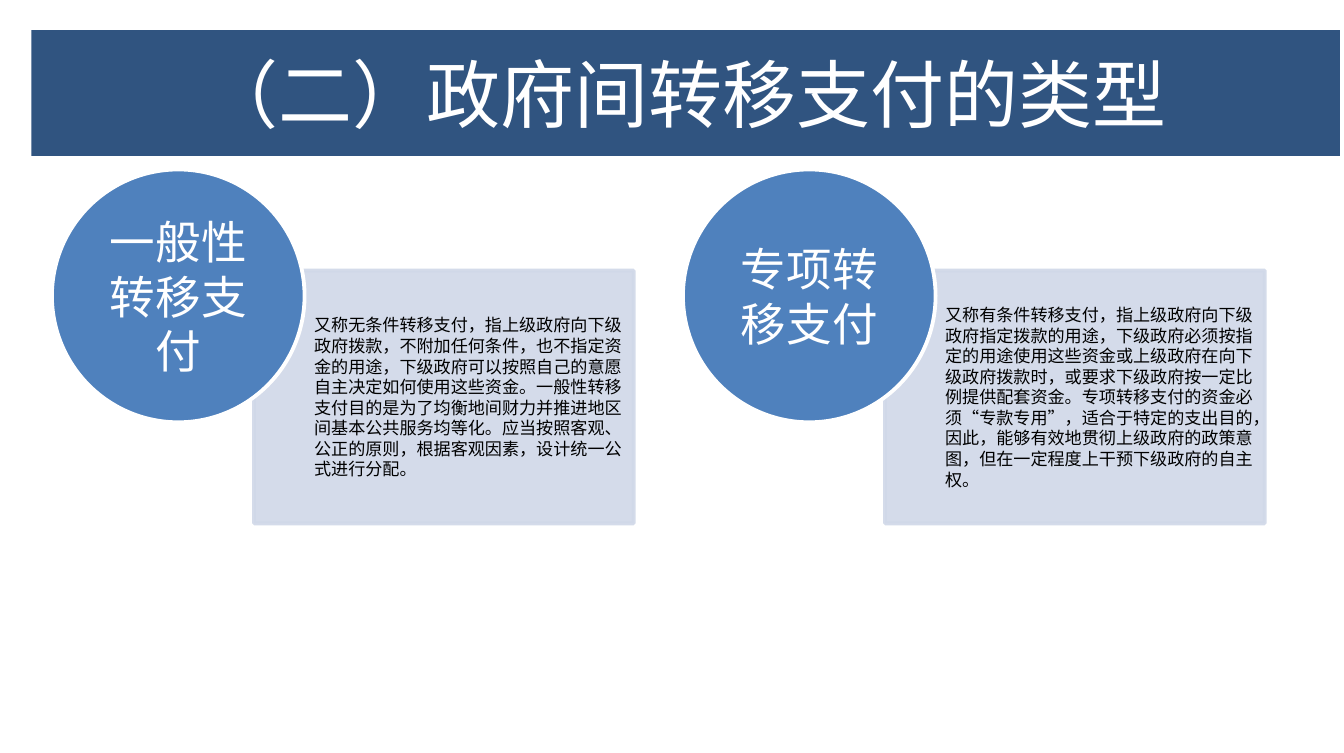
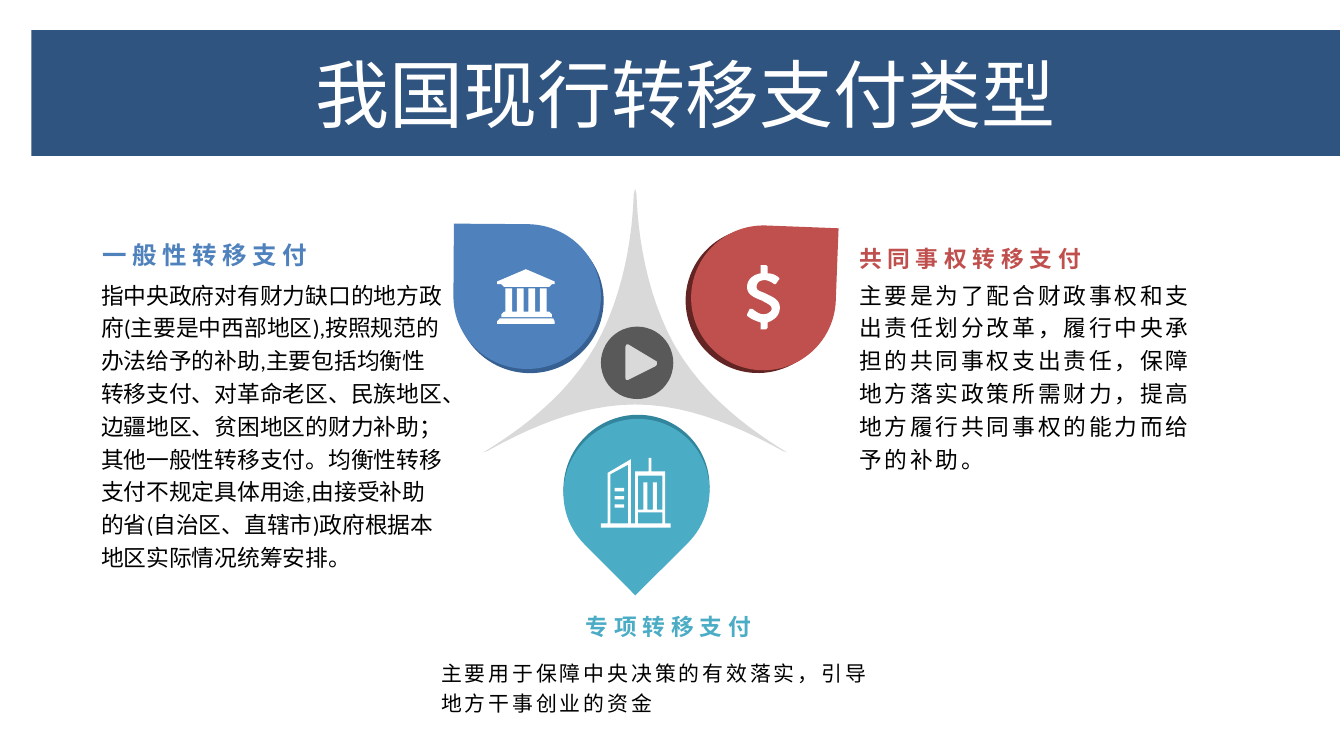
from lxml.etree import SubElement
from pptx import Presentation
from pptx.dml.color import RGBColor
from pptx.enum.lang import MSO_LANGUAGE_ID as Lang
from pptx.enum.shapes import MSO_SHAPE as Shape
from pptx.enum.text import MSO_ANCHOR as Anchor, PP_ALIGN as Align
from pptx.oxml.ns import qn
from pptx.util import Inches, Pt

# Shared grid: square cells of a tenth of an inch
COLS, ROWS = 98.4, 55.1
NAVY, BLUE, PALE, RED, TEAL = "305480", "4F81BD", "D0D8E8", "C0504D", "4BACC6"
GREY, CHARCOAL, WHITE, BLACK = "D9D9D9", "595959", "FFFFFF", "000000"
LATIN, HAN = "Calibri", "Noto Sans CJK SC"
TITLE = dict(size=39, color=WHITE, align=Align.CENTER, margins=(.9, .4, .9, .4))
HEADING = dict(name=HAN, size=12, bold=True, spacing=3, leading=1.2,
               anchor=Anchor.BOTTOM, margins=(.7, .4, .7, 0))
NOTE = dict(name=HAN, size=12, spacing=1.5, leading=1.2,
            anchor=Anchor.TOP, margins=(.7, 0, .7, .4))


def cells(n):
    return Inches(n / 10)


def rgb(value):
    return RGBColor.from_string(value)


def paint(target, color, alpha=None):
    """Give a fill a solid colour, with an opacity in percent if wanted."""
    target.solid()
    target.fore_color.rgb = rgb(color)
    if alpha:
        for node in target._xPr.iter(qn("a:srgbClr")):
            SubElement(node, qn("a:alpha")).set("val", str(alpha * 1000))


def add_shape(slide, kind, box, fill, line=None, alpha=None, rotation=0):
    shape = slide.shapes.add_shape(kind, *map(cells, box))
    shape.shadow.inherit = False
    shape.rotation = rotation
    paint(shape.fill, fill, alpha)
    if line:
        paint(shape.line.fill, line, alpha)
        shape.line.width = Pt(2)
    else:
        shape.line.fill.background()
    return shape


def write(shape, text, color=BLACK, name=LATIN, size=9, bold=False, spacing=0,
          leading=1, align=Align.LEFT, anchor=Anchor.MIDDLE, margins=(0, 0, 0, 0)):
    frame = shape.text_frame
    frame.word_wrap, frame.vertical_anchor = True, anchor
    for side, margin in zip(("left", "top", "right", "bottom"), margins):
        setattr(frame, f"margin_{side}", cells(margin))
    paragraph = frame.paragraphs[0]
    paragraph.alignment, paragraph.line_spacing = align, leading
    run = paragraph.add_run()
    run.text = text
    font_format = dict(name=name, size=Pt(size), bold=bold,
                       language_id=Lang.SIMPLIFIED_CHINESE)
    for key, value in font_format.items():
        setattr(run.font, key, value)
    run.font.color.rgb = rgb(color)
    properties = run._r.get_or_add_rPr()
    SubElement(properties, qn("a:ea")).set("typeface", HAN)
    if spacing:
        properties.set("spc", str(int(spacing * 100)))


def add_text(slide, box, text, **style):
    write(slide.shapes.add_textbox(*map(cells, box)), text, **style)


def add_title(slide, text):
    write(add_shape(slide, Shape.RECTANGLE, (2.3, 2.2, 95.8, 9.2), NAVY), text, **TITLE)


# Outlines, in hundredths of an inch: a pair is a corner, six numbers a Bézier curve
def flatten(contour, steps=12):
    points = []
    for item in contour:
        if len(item) == 2:
            points.append(item)
            continue
        knots = [points[-1], item[:2], item[2:4], item[4:]]
        for i in range(1, steps + 1):
            t = i / steps
            weights = ((1 - t) ** 3, 3 * t * (1 - t) ** 2, 3 * t * t * (1 - t), t ** 3)
            points.append(tuple(sum(w * k[axis] for w, k in zip(weights, knots))
                                for axis in (0, 1)))
    return points


def rect(left, top, right, bottom):
    return [(left, top), (right, top), (right, bottom), (left, bottom)]


def add_outline(slide, left, top, contours, fill):
    builder = None
    for contour in contours:
        points = [(cells(left + x / 10), cells(top + y / 10)) for x, y in flatten(contour)]
        if builder is None:
            builder = slide.shapes.build_freeform(*points[0], scale=1.0)
        else:
            builder.move_to(*points[0])
        builder.add_line_segments(points[1:], close=True)
    shape = builder.convert_to_shape()
    shape.shadow.inherit = False
    paint(shape.fill, fill)
    shape.line.fill.background()


STAR_HALF = flatten([(0, 0), (1, 4), (2, 34, 8, 77, 29, 115), (51, 153, 85, 177, 111, 193),
                     (108, 192), (83, 178, 42, 158, 0, 158)])
STAR = [STAR_HALF + [(-x, y) for x, y in reversed(STAR_HALF)]]
PLAY = [[(41, 27), (41, 26, 41, 25, 40, 25), (20, 13), (19, 13), (18, 14, 18, 15, 18, 15),
         (18, 37), (18, 38, 18, 39, 19, 39), (20, 39), (40, 29), (41, 28, 41, 28, 41, 27)]]
BANK = [
    [(21, 0), (42, 9), (42, 11), (40, 11), (38, 13), (5, 13), (3, 11), (0, 11), (0, 9)],
    [(3, 35), (3, 33), (5, 31), (38, 31), (40, 33), (40, 35)],
    [(0, 40), (0, 38), (2, 36), (41, 36), (42, 38), (42, 40)],
    *[rect(6 + 8.4 * i, 14, 11 + 8.4 * i, 31) for i in range(4)],
]
DOLLAR = [[
    (15, 42), (15, 46), (14, 47), (10, 47), (10, 42), (3, 40, 0, 37, 0, 37), (0, 36),
    (2, 32), (4, 32), (4, 32, 8, 36, 12, 36), (15, 36, 18, 34, 18, 32),
    (18, 29, 14, 28, 11, 26), (6, 24, 0, 22, 0, 16), (0, 11, 4, 7, 10, 6), (10, 0),
    (14, 0), (15, 1), (15, 6), (20, 6, 23, 9, 23, 9), (24, 10, 24, 10, 23, 11), (21, 14),
    (20, 14), (20, 14, 16, 11, 13, 11), (9, 11, 7, 13, 7, 16), (7, 19, 10, 19, 14, 21),
    (18, 23, 24, 25, 24, 31), (24, 37, 20, 40, 15, 42)]]
CITY = [
    [(51, 51), (0, 51), (0, 48), (5, 48), (5, 11), (22, 1), (22, 48), (25, 48), (25, 10),
     (35, 10), (35, 0), (37, 0), (37, 10), (47, 10), (47, 48), (51, 48)],
    [(20, 5), (7, 12), (7, 48), (20, 48)],
    [(45, 13), (27, 13), (27, 38), (31, 38), (31, 18), (34, 18), (34, 38), (38, 38),
     (38, 18), (41, 18), (41, 38), (45, 38)],
    rect(27, 40, 45, 48),
    *[rect(10, 22 + 6 * i, 17, 24.5 + 6 * i) for i in range(3)],
]

TYPES = [
    ("一般性转移支付",
     "又称无条件转移支付，指上级政府向下级政府拨款，不附加任何条件，也不指定资金的用途，"
     "下级政府可以按照自己的意愿自主决定如何使用这些资金。一般性转移支付目的是为了均衡地间财力"
     "并推进地区间基本公共服务均等化。应当按照客观、公正的原则，根据客观因素，设计统一公式进行分配。"),
    ("专项转移支付",
     "又称有条件转移支付，指上级政府向下级政府指定拨款的用途，下级政府必须按指定的用途使用这些资金"
     "或上级政府在向下级政府拨款时，或要求下级政府按一定比例提供配套资金。专项转移支付的资金必须"
     "“专款专用”，适合于特定的支出目的，因此，能够有效地贯彻上级政府的政策意图，"
     "但在一定程度上干预下级政府的自主权。"),
]
# Pin box, rotation, shade shift, colours, icon and its place in the pin
PINS = [
    ((33.3, 16.3, 10.6, 10.8), 270.4, (.2, .3), BLUE, "376092", BANK, (3.1, 3.4)),
    ((50.6, 16.5, 10.6, 10.6), 2.2, (-.4, .2), RED, "632523", DOLLAR, (4.1, 2.9)),
    ((41.2, 30.7, 10.8, 10.6), 135.1, (0, -.3), TEAL, "31859C", CITY, (2.8, 2.8)),
]
# Heading box, heading, its style, note box, note, its style
NOTES = [
    ((6.8, 16.5, 24.2, 3.2), "一般性转移支付", dict(color=BLUE, size=12.9),
     (6.7, 20.2, 26.6, 25),
     "指中央政府对有财力缺口的地方政府(主要是中西部地区),按照规范的办法给予的补助,"
     "主要包括均衡性转移支付、对革命老区、民族地区、边疆地区、贫困地区的财力补助；其他一般性转移支付。"
     "均衡性转移支付不规定具体用途,由接受补助的省(自治区、直辖市)政府根据本地区实际情况统筹安排。",
     dict(name=LATIN, spacing=0)),
    ((62.2, 16.7, 26.5, 3.2), "共同事权转移支付", dict(color=RED),
     (62.2, 20.2, 26.5, 14.4),
     "主要是为了配合财政事权和支出责任划分改革，履行中央承担的共同事权支出责任，"
     "保障地方落实政策所需财力，提高地方履行共同事权的能力而给予的补助。", {}),
    ((33.1, 43.6, 31.7, 3.2), "专项转移支付", dict(color=TEAL, align=Align.CENTER),
     (31.6, 48, 33.2, 5.1),
     "主要用于保障中央决策的有效落实，引导地方干事创业的资金", dict(size=11)),
]


def add_type_card(slide, left, top, label, text):
    """A disc with the label over the corner of a panel with the text."""
    add_shape(slide, Shape.RECTANGLE, (left + 14.8, top + 7.4, 27.8, 18.5), PALE, PALE, 90)
    add_text(slide, (left + 19.2, top + 7.4, 23.3, 18.5), text, margins=(0, .7, .7, .7))
    add_shape(slide, Shape.OVAL, (left, top, 18.5, 18.5), BLUE, WHITE)
    add_text(slide, (left + 2.7, top + 2.7, 13.1, 13.1), label, size=24, color=WHITE,
             align=Align.CENTER)


def add_pin(slide, box, rotation, shift, color, shade, icon, place):
    left, top, width, height = box
    shaded = (left + shift[0], top + shift[1], width, height)
    add_shape(slide, Shape.TEAR, shaded, shade, rotation=rotation)
    add_shape(slide, Shape.TEAR, box, color, rotation=rotation)
    add_outline(slide, left + place[0], top + place[1], icon, WHITE)


def add_hub(slide, left, top):
    """Three-pointed star with a play button in the middle."""
    add_outline(slide, left + 11.1, top, STAR, GREY)
    add_shape(slide, Shape.OVAL, (left + 8.6, top + 10.1, 5.3, 5.3), CHARCOAL)
    add_outline(slide, left + 8.6, top + 10.1, PLAY, GREY)


def build_types_slide(slide):
    add_title(slide, "（二）政府间转移支付的类型")
    for i, (label, text) in enumerate(TYPES):
        add_type_card(slide, 3.8 + 46.2 * i, 12.4, label, text)


def build_current_slide(slide):
    add_title(slide, "我国现行转移支付类型")
    add_hub(slide, 35.4, 13.8)
    for pin in PINS:
        add_pin(slide, *pin)
    for heading_box, heading, heading_style, note_box, note, note_style in NOTES:
        add_text(slide, heading_box, heading, **{**HEADING, **heading_style})
        add_text(slide, note_box, note, **{**NOTE, **note_style})


def main():
    deck = Presentation()
    deck.slide_width, deck.slide_height = cells(COLS), cells(ROWS)
    for build in (build_types_slide, build_current_slide):
        build(deck.slides.add_slide(deck.slide_layouts[6]))
    deck.save("out.pptx")


if __name__ == "__main__":
    main()
